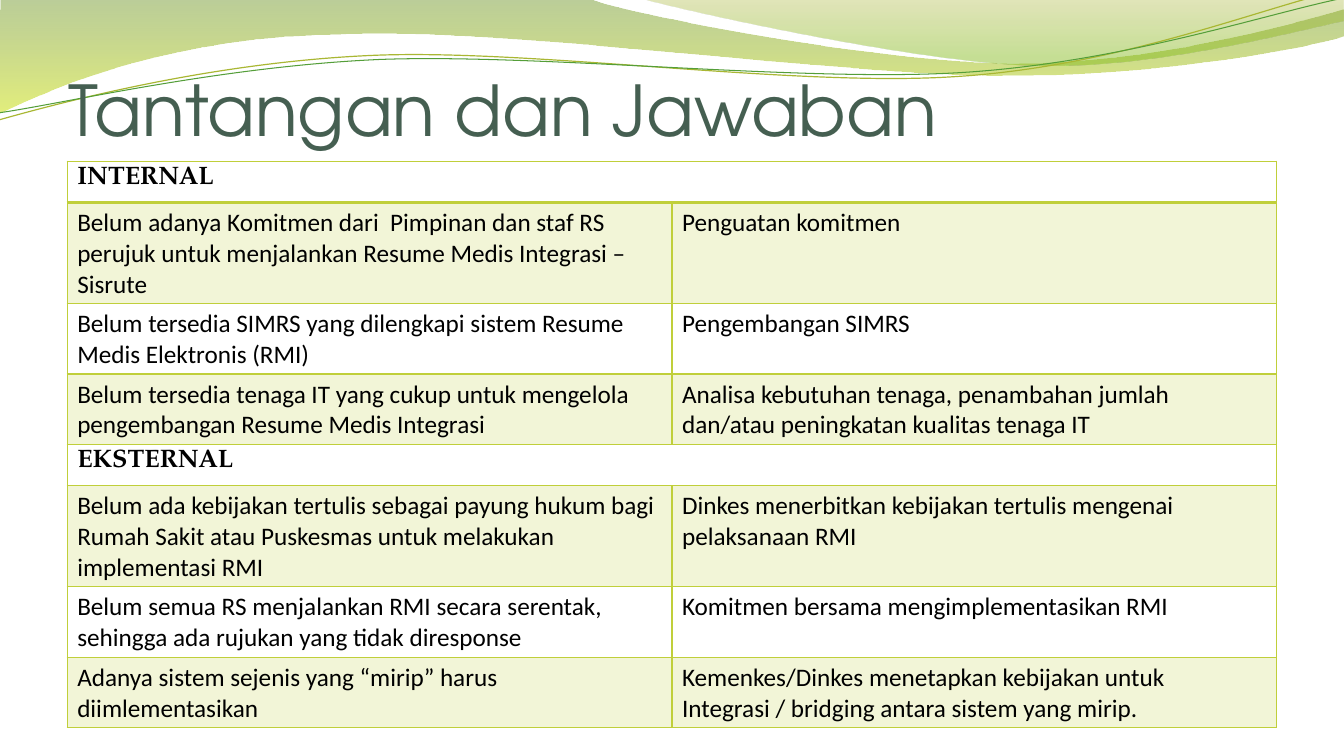
import math

import pptx
import pptx.util
import pptx.dml.color
import pptx.enum.text
import pptx.oxml.ns
from lxml import etree

Pt = pptx.util.Pt
RGB = pptx.dml.color.RGBColor
qn = pptx.oxml.ns.qn

# Colours
BLACK = RGB(0x00, 0x00, 0x00)
TITLE_GREEN = RGB(0x45, 0x5F, 0x51)
LIME = RGB(0xC0, 0xCF, 0x3A)
OLIVE = RGB(0x69, 0x92, 0x1C)
YELLOW = RGB(0xCC, 0xE1, 0x0F)
MOSS = RGB(0x9B, 0xAA, 0x1A)
LEAF = RGB(0x81, 0xBA, 0x16)
LINE_OLIVE = RGB(0xA9, 0xB7, 0x33)
LINE_GREEN = RGB(0x54, 0x9E, 0x39)

# Content: a one-item row is a section heading across both columns
TITLE = "Tantangan dan Jawaban"
ROWS = [
    ("INTERNAL",),
    ("Belum adanya Komitmen dari  Pimpinan dan staf RS perujuk untuk menjalankan "
     "Resume Medis Integrasi – Sisrute", "Penguatan komitmen"),
    ("Belum tersedia SIMRS yang dilengkapi sistem Resume Medis Elektronis (RMI)",
     "Pengembangan SIMRS"),
    ("Belum tersedia tenaga IT yang cukup untuk mengelola pengembangan Resume Medis Integrasi",
     "Analisa kebutuhan tenaga, penambahan jumlah dan/atau peningkatan kualitas tenaga IT"),
    ("EKSTERNAL",),
    ("Belum ada kebijakan tertulis sebagai payung hukum bagi Rumah Sakit atau Puskesmas "
     "untuk melakukan implementasi RMI",
     "Dinkes menerbitkan kebijakan tertulis mengenai pelaksanaan RMI"),
    ("Belum semua RS menjalankan RMI secara serentak, sehingga ada rujukan yang tidak diresponse",
     "Komitmen bersama mengimplementasikan RMI"),
    ("Adanya sistem sejenis yang “mirip” harus diimlementasikan",
     "Kemenkes/Dinkes menetapkan kebijakan untuk Integrasi / bridging antara sistem yang mirip."),
]
ROW_H = 29.5  # rows grow with their text

# Wave outlines: one point is a straight step, three points are a Bezier curve
BANDS = [
    ([[(0, 0)], [(422.6, -0.4)],
      [(456.5, 12.2), (636.5, 45.4), (727.9, 45.4)],
      [(818.6, 45.4), (919.4, 18.7), (959.8, 6.5)], [(960.5, 25.9)],
      [(943.9, 31.7), (834.5, 54.7), (715.7, 54)],
      [(596.9, 54), (366.5, 20.2), (247, 24.5)],
      [(123.8, 25.9), (43.9, 59.8), (-1.4, 81.4)], [(0, 0)]],
     [(0, OLIVE, 45), (1, YELLOW, 55)]),
    ([[(459.4, -0.4)],
      [(488.9, 7.9), (654.5, 44.6), (738, 46.8)],
      [(820.8, 49.7), (923, 23), (959.8, 15.1)], [(959.8, 0)], [(459.4, -0.4)]],
     [(0, MOSS, 30), (0.8, LEAF, 45)]),
]
# Thin strands: curve, centre of the tilt, colour, width
STRANDS = [
    ([[(-0.7, 85.7)],
      [(45.4, 72.7), (151.2, 44.6), (265.7, 39.6)],
      [(379.4, 34.6), (568.1, 62.6), (683.3, 54.7)],
      [(799.2, 47.5), (900.7, 5.8), (957.6, -7.2)]], (478.8, 41.4), LINE_OLIVE, 0.85),
    ([[(-0.7, 80.6)],
      [(44.6, 74.2), (157, 47.5), (271.4, 42.5)],
      [(386.6, 38.2), (573.1, 59), (687.6, 51.8)],
      [(802.1, 44.6), (903.6, 10.1), (959.8, -1.4)]], (480.2, 42.5), LINE_GREEN, 0.75),
]
TILT = 2.7


def set_attrs(obj, fmt):
    for name, value in fmt.items():
        setattr(obj, name, value)


def write(tf, text, color, **fmt):
    r = tf.paragraphs[0].add_run()
    r.text = text
    set_attrs(r.font, fmt)
    r.font.color.rgb = color


def set_alpha(element, percents):
    for clr, percent in zip(element.iter(qn("a:srgbClr")), percents):
        etree.SubElement(clr, qn("a:alpha"), val=str(percent * 1000))


def level(point, centre):
    """Turn a point back to where it lies before the strand is tilted."""
    dx, dy = point[0] - centre[0], point[1] - centre[1]
    c, n = math.cos(math.radians(TILT)), math.sin(math.radians(TILT))
    return centre[0] + dx * c - dy * n, centre[1] + dx * n + dy * c


def add_outline(s, segments, close):
    start, *rest = [(Pt(x), Pt(y)) for seg in segments for x, y in seg]
    builder = s.shapes.build_freeform(*start)
    builder.add_line_segments(rest, close=close)
    sp = builder.convert_to_shape()
    sp.shadow.inherit = False
    # Join each group of three steps into one curve
    steps = iter(list(sp._element.iter(qn("a:lnTo"))))
    for seg in segments[1:]:
        group = [next(steps) for _ in seg]
        if len(group) == 3:
            curve = etree.Element(qn("a:cubicBezTo"))
            group[0].addprevious(curve)
            for step in group:
                curve.append(step[0])
                step.getparent().remove(step)
    return sp


def set_borders(cell, widths):
    tcPr = cell._tc.get_or_add_tcPr()
    for side, width in widths.items():
        ln = etree.SubElement(tcPr, qn("a:ln" + side), w=str(Pt(width)))
        fill = etree.SubElement(ln, qn("a:solidFill"))
        etree.SubElement(fill, qn("a:srgbClr"), val=str(LIME))


prs = pptx.Presentation()
set_attrs(prs, {"slide_width": Pt(960), "slide_height": Pt(540)})
s = prs.slides.add_slide(prs.slide_layouts[6])

# Wave decoration
for segments, stops in BANDS:
    sp = add_outline(s, segments, True)
    sp.fill.gradient()
    sp.fill.gradient_angle = 270
    for stop, (position, color, _) in zip(sp.fill.gradient_stops, stops):
        stop.position = position
        stop.color.rgb = color
    set_alpha(sp._element, [percent for _, _, percent in stops])
    sp.line.fill.background()
for segments, centre, color, width in STRANDS:
    flat = [[level(point, centre) for point in seg] for seg in segments]
    sp = add_outline(s, flat, False)
    sp.rotation = 360 - TILT
    sp.fill.background()
    sp.line.color.rgb = color
    sp.line.width = Pt(width)

# Title
tf = s.shapes.add_textbox(Pt(49), Pt(17.3), Pt(864), Pt(90)).text_frame
set_attrs(tf, {"word_wrap": True, "vertical_anchor": pptx.enum.text.MSO_ANCHOR.BOTTOM,
               "margin_left": 0, "margin_top": Pt(3.6), "margin_right": 0, "margin_bottom": 0})
write(tf, TITLE, TITLE_GREEN, name="TeX Gyre Adventor", size=Pt(50))

# Table of challenges and answers
frame = s.shapes.add_table(len(ROWS), 2, Pt(48), Pt(115.2), Pt(864), Pt(ROW_H * len(ROWS)))
table = frame.table
for i, texts in enumerate(ROWS):
    table.rows[i].height = Pt(ROW_H)
    heading = len(texts) == 1
    for j in range(2):
        cell = table.cell(i, j)
        set_borders(cell, {"L": 1, "R": 1, "T": 2 if i == 1 else 1, "B": 2 if i == 0 else 1})
        if i % 2:
            cell.fill.solid()
            cell.fill.fore_color.rgb = LIME
            set_alpha(cell._tc.tcPr.find(qn("a:solidFill")), [20])
        else:
            cell.fill.background()
    if heading:
        table.cell(i, 0).merge(table.cell(i, 1))
    for j, text in enumerate(texts):
        write(table.cell(i, j).text_frame, text, BLACK, size=Pt(18), bold=heading,
              name="TeX Gyre Pagella" if heading else "Calibri")
frame.height = Pt(404)

prs.save("out.pptx")
